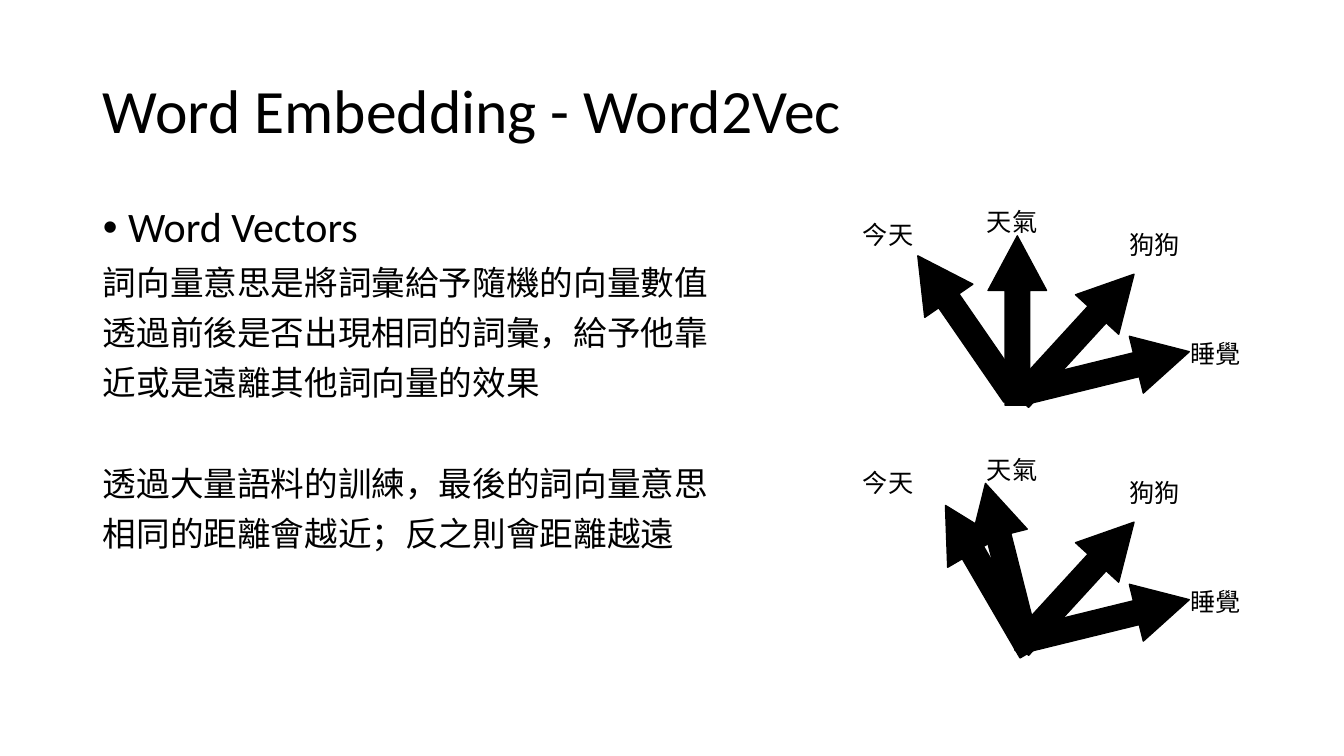
from dataclasses import dataclass

from lxml import etree
from pptx import Presentation
from pptx import util as u
from pptx.dml.color import RGBColor
from pptx.enum import shapes, text
from pptx.oxml.ns import qn


@dataclass(frozen=True)
class Theme:
    ink: RGBColor = RGBColor(0, 0, 0)
    latin: str = "Calibri"
    chinese: str = "Noto Sans CJK SC"
    title: int = 44
    heading: int = 30
    body: int = 24
    label: int = 18


theme = Theme()


def write(paragraph, words, size, font=theme.latin, line=None, before=None, bullet=None):
    run = paragraph.add_run()
    run.text = words
    run.font.size = u.Pt(size)
    run.font.name = font
    run.font.color.rgb = theme.ink
    etree.SubElement(run.font._element, qn("a:ea"), typeface=theme.chinese)
    paragraph.alignment = text.PP_ALIGN.LEFT
    if line is not None:
        paragraph.line_spacing = line
    if before is not None:
        paragraph.space_before = u.Pt(before)
    if bullet is not None:
        indent = u.Inches(0.25) if bullet else 0
        properties = paragraph._p.get_or_add_pPr()
        properties.set("marL", str(indent))
        properties.set("indent", str(-indent))
        if bullet:
            etree.SubElement(properties, qn("a:buFont"), typeface="Arial")
            etree.SubElement(properties, qn("a:buChar"), char=bullet)
        else:
            etree.SubElement(properties, qn("a:buNone"))


deck = Presentation()
deck.slide_width, deck.slide_height = u.Inches(13.33), u.Inches(7.5)
slide = deck.slides.add_slide(deck.slide_layouts[1])

title = slide.shapes.title
title.left, title.top = u.Inches(0.92), u.Inches(0.4)
title.width, title.height = u.Inches(11.5), u.Inches(1.45)
title.text_frame.vertical_anchor = text.MSO_ANCHOR.MIDDLE
title.text_frame.auto_size = text.MSO_AUTO_SIZE.NONE
write(title.text_frame.paragraphs[0], "Word Embedding - Word2Vec", theme.title, line=0.9)

explanation = slide.placeholders[1]
explanation.left, explanation.top = u.Inches(0.92), u.Inches(2)
explanation.width, explanation.height = u.Inches(11.5), u.Inches(4.76)
explanation.text_frame.auto_size = text.MSO_AUTO_SIZE.NONE
write(explanation.text_frame.paragraphs[0], "Word Vectors", theme.heading,
      line=0.9, before=10, bullet="•")
sentences = [
    ("詞向量意思是將詞彙給予隨機的向量數值", 10),
    ("透過前後是否出現相同的詞彙，給予他靠", 10),
    ("近或是遠離其他詞向量的效果", 10),
    ("透過大量語料的訓練，最後的詞向量意思", 46),
    ("相同的距離會越近；反之則會距離越遠", 10),
]
for sentence, before in sentences:
    write(explanation.text_frame.add_paragraph(), sentence, theme.body,
          font=theme.chinese, line=0.9, before=before, bullet="")

word_labels = [("今天", 8.46, 0.13), ("天氣", 9.69, 0), ("狗狗", 11.1, 0.23), ("睡覺", 11.71, 1.31)]
unrelated_vectors = [(10.39, 0.5, 42.5), (10.69, 0.85, 76.2)]
diagrams = [
    (2, [(9.29, 0.39, 325.4), (9.8, 0.34, 0)]),
    (4.46, [(9.51, 0.44, 329.8), (9.69, 0.31, 345.8)]),
]
for diagram_top, related_vectors in diagrams:
    for left, offset, angle in related_vectors + unrelated_vectors:
        vector = slide.shapes.add_shape(
            shapes.MSO_SHAPE.UP_ARROW, u.Inches(left), u.Inches(diagram_top + offset),
            u.Inches(0.58), u.Inches(1.68))
        vector.rotation = angle
        vector.adjustments[0], vector.adjustments[1] = 0.42, 0.934
        vector.shadow.inherit = False
        vector.fill.solid()
        vector.fill.fore_color.rgb = theme.ink
        vector.line.color.rgb = theme.ink
        vector.line.width = u.Pt(1)
    for word, left, offset in word_labels:
        label = slide.shapes.add_textbox(
            u.Inches(left), u.Inches(diagram_top + offset), u.Inches(0.71), u.Inches(0.4))
        label.text_frame.word_wrap = False
        label.text_frame.auto_size = text.MSO_AUTO_SIZE.SHAPE_TO_FIT_TEXT
        write(label.text_frame.paragraphs[0], word, theme.label)

deck.save("out.pptx")
